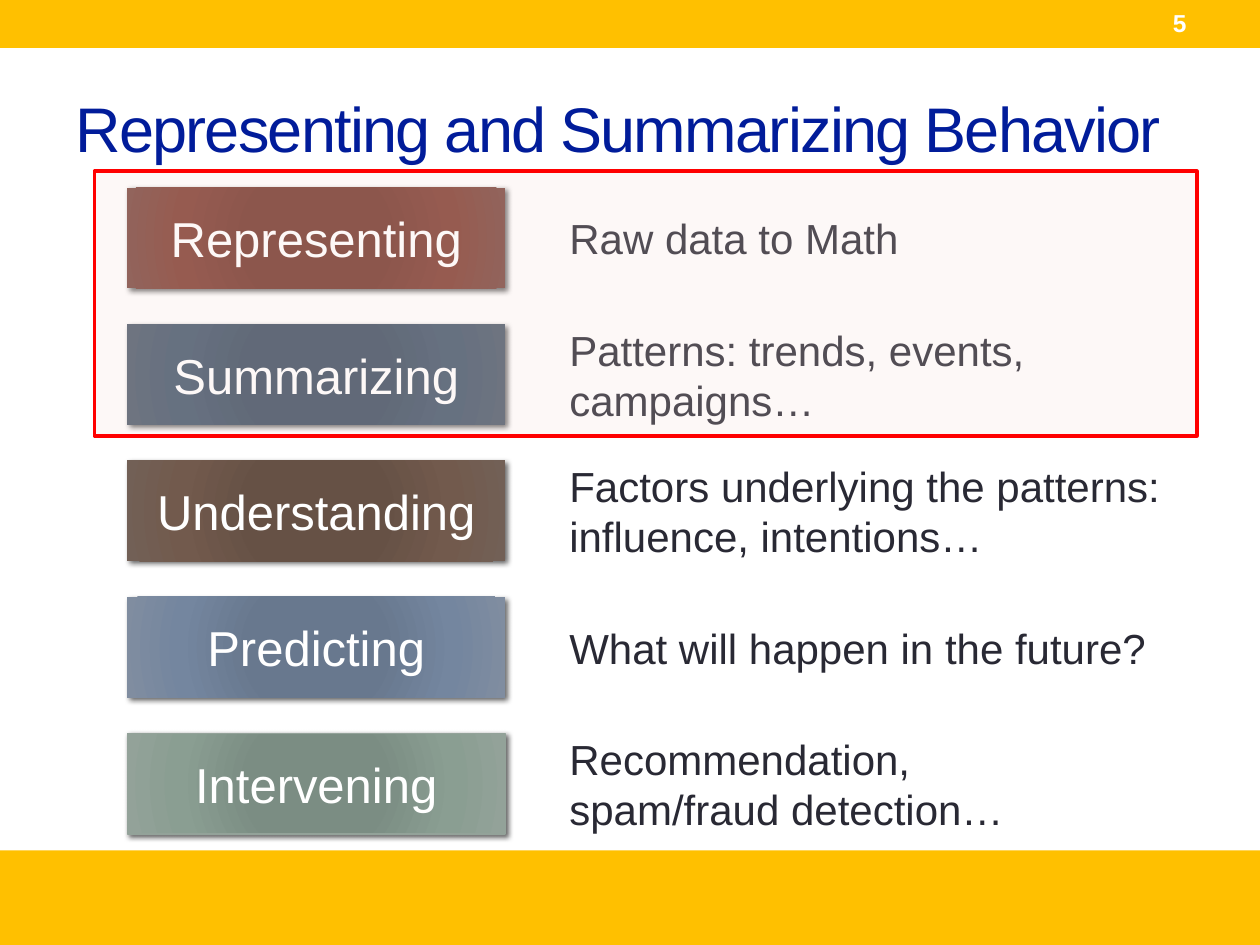
from lxml.etree import SubElement
from pptx import Presentation
from pptx.dml.color import RGBColor
from pptx.enum.shapes import MSO_SHAPE
from pptx.enum.text import MSO_ANCHOR, PP_ALIGN
from pptx.oxml import parse_xml
from pptx.oxml.ns import nsdecls, qn
from pptx.util import Inches, Pt

COLORS = {
    "band": "FFC000",
    "title": "011C9A",
    "white": "FFFFFF",
    "text": "292934",
    "frame": "FF0000",
    "tint": "F6DDD8",
    "shadow": "000000",
    "green": "93A299",
}

STOPS = (0, 34, 70, 100)

STEPS = [
    ("Representing", ["Raw data to Math"],
     ("743327", "72352A", "7F3B2F", "79463D"), None),
    ("Summarizing", ["Patterns: trends, events, campaigns…"],
     ("3B4D61", "3C4D60", "43566B", "4C5A6A"), None),
    ("Understanding", ["Factors underlying the patterns: influence, intentions…"],
     ("685044", "665145", "725A4D", "726056"), None),
    ("Predicting", ["What will happen in the future?"],
     ("677790", "68788E", "74869F", "808DA0"), None),
    ("Intervening", ["Recommendation,", "spam/fraud detection…"],
     ("7B8E82", "7B8D83", "8A9E92", "93A299"), "green"),
]


class SlideBuilder:
    font = "Arial"

    def __init__(self, page):
        self.page = page

    def fill_text(self, box, lines, size, color, align=PP_ALIGN.LEFT, bold=False):
        frame = box.text_frame
        frame.word_wrap = True
        frame.vertical_anchor = MSO_ANCHOR.MIDDLE
        frame.text = "\n".join(lines)
        for paragraph in frame.paragraphs:
            paragraph.alignment = align
            paragraph.font.name = self.font
            paragraph.font.size = Pt(size)
            paragraph.font.bold = bold
            paragraph.font.color.rgb = RGBColor.from_string(COLORS[color])

    def text(self, place, line, size, color, bold=False, spacing=0):
        box = self.page.shapes.add_textbox(*map(Inches, place))
        self.fill_text(box, [line], size, color, bold=bold)
        if spacing:
            span = box.text_frame.paragraphs[0].runs[0]
            span.font._element.set("spc", str(spacing * 100))

    def rectangle(self, place, fill, line=None, width=0.75):
        box = self.page.shapes.add_shape(MSO_SHAPE.RECTANGLE, *map(Inches, place))
        box.fill.solid()
        box.fill.fore_color.rgb = RGBColor.from_string(COLORS[fill])
        if line:
            box.line.color.rgb = RGBColor.from_string(COLORS[line])
            box.line.width = Pt(width)
        else:
            box.line.fill.background()
        box.shadow.inherit = False
        return box

    def label(self, place, line, shades, outline):
        box = self.rectangle(place, "white", outline)
        properties = box._element.spPr
        stops = "".join(
            f'<a:gs pos="{stop * 1000}"><a:srgbClr val="{shade}"/></a:gs>'
            for stop, shade in zip(STOPS, shades)
        )
        gradient = parse_xml(
            f'<a:gradFill {nsdecls("a")} rotWithShape="1"><a:gsLst>{stops}</a:gsLst>'
            '<a:path path="circle"><a:fillToRect l="100000" t="100000" '
            'r="100000" b="100000"/></a:path></a:gradFill>'
        )
        properties.replace(properties.find(qn("a:solidFill")), gradient)
        effects = properties.find(qn("a:effectLst"))
        shadow = SubElement(effects, qn("a:outerShdw"), blurRad=str(Pt(3)),
                            dist=str(Pt(2)), dir="2700000", rotWithShape="0")
        color = SubElement(shadow, qn("a:srgbClr"), val=COLORS["shadow"])
        SubElement(color, qn("a:alpha"), val="60000")
        self.fill_text(box, [line], 28, "white", PP_ALIGN.CENTER)

    def description(self, place, lines):
        self.fill_text(self.rectangle(place, "white"), lines, 24, "text")

    def highlight(self, place):
        box = self.rectangle(place, "tint", "frame", 2.08)
        fill = box._element.spPr.find(qn("a:solidFill"))
        SubElement(fill[0], qn("a:alpha"), val="20000")


def main():
    deck = Presentation()
    deck.slide_width, deck.slide_height = Inches(10), Inches(7.5)
    builder = SlideBuilder(deck.slides.add_slide(deck.slide_layouts[6]))

    builder.rectangle((0, 0, 10, 0.38), "band")
    builder.rectangle((0, 6.75, 10, 0.8), "band")
    builder.text((0.5, 0.47, 9, 1.08), "Representing and Summarizing Behavior",
                 36, "title", spacing=-1)
    builder.text((9.21, 0, 0.79, 0.36), "5", 14, "white", bold=True)

    first_top, last_top, height = 1.49, 5.82, 0.8
    pitch = (last_top - first_top) / (len(STEPS) - 1)
    for row, (name, lines, shades, outline) in enumerate(STEPS):
        top = first_top + row * pitch
        builder.label((1.01, top, 3, height), name, shades, outline)
        builder.description((4.42, top, 5.08, height), lines)

    builder.highlight((0.75, 1.36, 8.75, 2.1))
    deck.save("out.pptx")


if __name__ == "__main__":
    main()
